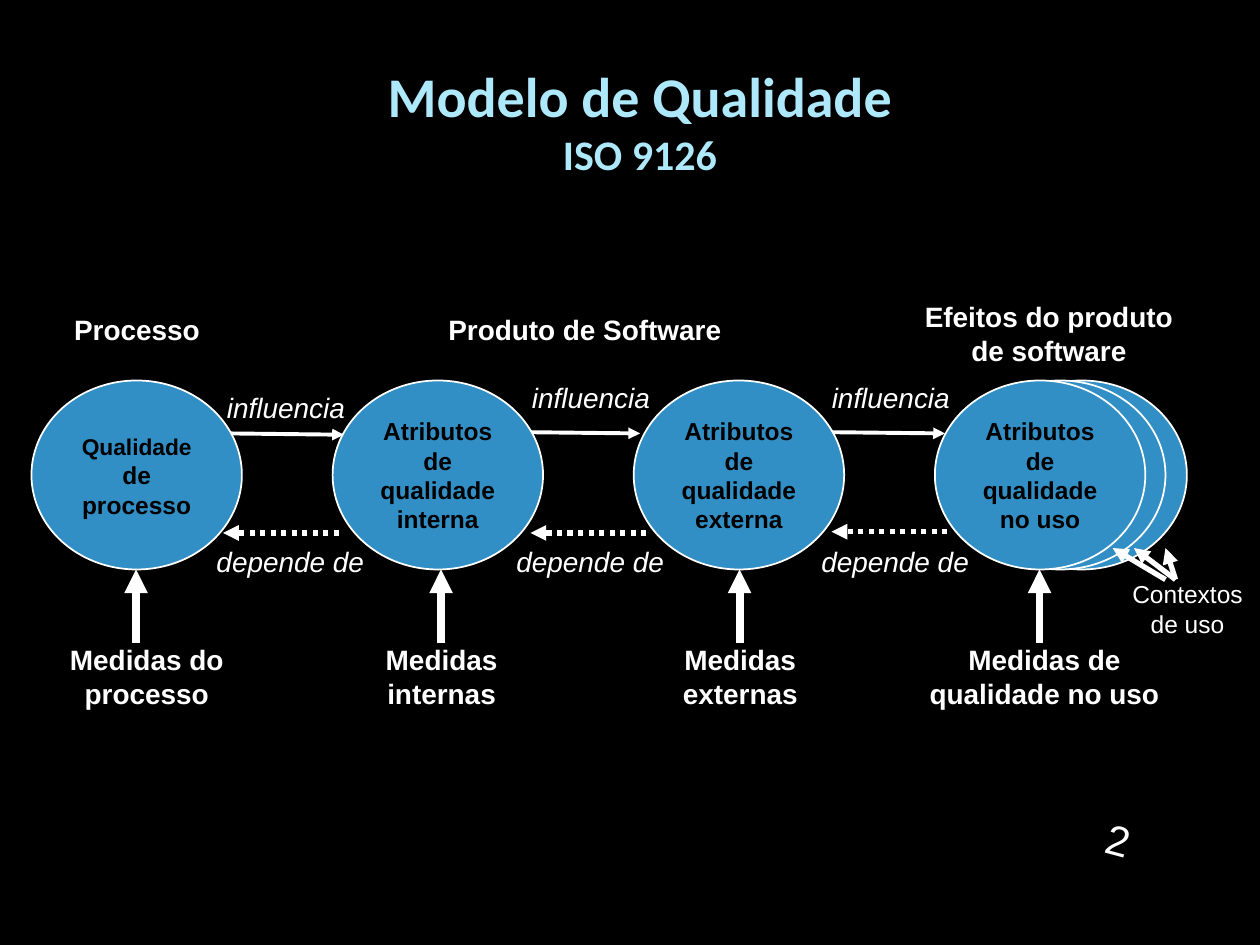
import pptx
import pptx.dml.color
import pptx.enum.dml
import pptx.enum.shapes
import pptx.enum.text
import pptx.oxml
import pptx.oxml.ns
import pptx.util

Inches, Pt = pptx.util.Inches, pptx.util.Pt
CENTER = pptx.enum.text.PP_ALIGN.CENTER
LEFT = pptx.enum.text.PP_ALIGN.LEFT
WHITE, BLACK, BLUE, PALE_BLUE = "FFFFFF", "000000", "318FC5", "AEE8FB"

# Ellipses: one every ELLIPSE_STEP inches
ELLIPSE_LEFT, ELLIPSE_TOP, ELLIPSE_STEP = 0.25, 3.02, 2.39
ELLIPSE_WIDTH, ELLIPSE_HEIGHT = 1.67, 1.5
QUALITIES = [
    [("Qualidade", 13), (" de processo", 14)],
    [("Atributos de qualidade interna", 14)],
    [("Atributos de qualidade externa", 14)],
    [("Atributos de qualidade no uso", 14)],
]
CONTEXT_OFFSETS = [0.33, 0.16]  # ellipses stacked behind the last one

# Arrow start and end, label left and top
INFLUENCES = [
    ((1.81, 3.44), (2.73, 3.45), 1.7, 3.05),
    ((4.17, 3.43), (5.08, 3.44), 4.12, 2.97),
    ((6.58, 3.43), (7.5, 3.44), 6.5, 2.97),
]
# Arrow left and height on the slide, label left
DEPENDENCIES = [(1.77, 4.23, 1.62), (4.21, 4.23, 4), (6.6, 4.22, 6.42)]
DEPENDENCY_LENGTH = 0.92
# Text, left, width, arrow position
MEASURES = [
    ("Medidas do processo", 0.33, 1.67, 1.08),
    ("Medidas internas", 2.67, 1.67, 3.5),
    ("Medidas\nexternas", 5.04, 1.67, 5.87),
    ("Medidas de qualidade no uso", 7.21, 2.16, 8.25),
]
# Text, box, wraps, alignment
HEADINGS = [
    ("Processo", (0.49, 2.43, 1.2, 0.37), False, LEFT),
    ("Produto de Software", (3.46, 2.43, 2.38, 0.37), False, LEFT),
    ("Efeitos do produto de software", (7.21, 2.33, 2.23, 0.64), True, CENTER),
]
CONTEXT_ARROWS = [
    ((9.33, 4.6), (9.25, 4.35)),
    ((9.33, 4.6), (9, 4.35)),
    ((9.25, 4.6), (8.83, 4.35)),
]


def rgb(value):
    return pptx.dml.color.RGBColor.from_string(value)


def style_font(font, size, color=WHITE, bold=False, italic=False, name="Arial"):
    font.name, font.size = name, Pt(size)
    font.bold, font.italic = bold, italic
    font.color.rgb = rgb(color)


def add_text(slide, text, box, size=16, wrap=True, align=CENTER, grow=True, **font):
    shape = slide.shapes.add_textbox(*map(Inches, box))
    frame = shape.text_frame
    frame.text = text
    frame.word_wrap = wrap
    if grow:
        frame.auto_size = pptx.enum.text.MSO_AUTO_SIZE.SHAPE_TO_FIT_TEXT
    else:
        frame.vertical_anchor = pptx.enum.text.MSO_ANCHOR.MIDDLE
    for paragraph in frame.paragraphs:
        paragraph.alignment = align
        style_font(paragraph.font, size, **font)
    return shape


def add_arrow(slide, start, end, width, dotted=False):
    connector = slide.shapes.add_connector(
        pptx.enum.shapes.MSO_CONNECTOR.STRAIGHT, *map(Inches, start + end))
    connector.line.color.rgb = rgb(WHITE)
    connector.line.width = Pt(width)
    if dotted:
        connector.line.dash_style = pptx.enum.dml.MSO_LINE.ROUND_DOT
    line = connector.line._get_or_add_ln()
    namespace = pptx.oxml.ns.nsdecls("a")
    line.append(pptx.oxml.parse_xml(f'<a:tailEnd {namespace} type="triangle"/>'))
    line.addnext(pptx.oxml.parse_xml(f"<a:effectLst {namespace}/>"))


def add_ellipse(slide, left, runs=()):
    shape = slide.shapes.add_shape(
        pptx.enum.shapes.MSO_SHAPE.OVAL,
        *map(Inches, (left, ELLIPSE_TOP, ELLIPSE_WIDTH, ELLIPSE_HEIGHT)))
    shape.shadow.inherit = False
    shape.fill.solid()
    shape.fill.fore_color.rgb = rgb(BLUE)
    shape.line.color.rgb = rgb(WHITE)
    shape.line.width = Pt(1)
    shape.text_frame.word_wrap = True
    paragraph = shape.text_frame.paragraphs[0]
    paragraph.alignment = CENTER
    for text, size in runs:
        run = paragraph.add_run()
        run.text = text
        style_font(run.font, size, BLACK, bold=True)


def add_title(slide):
    title = add_text(slide, "Modelo de Qualidade\vISO 9126", (0.58, 0.33, 9, 1.25),
                     size=32, grow=False, color=PALE_BLUE, bold=True, name="Calibri")
    title.text_frame.paragraphs[0].runs[1].font.size = Pt(24)


def main():
    presentation = pptx.Presentation()
    presentation.slide_width, presentation.slide_height = Inches(10), Inches(7.5)
    slide = presentation.slides.add_slide(presentation.slide_layouts[6])
    slide.background.fill.solid()
    slide.background.fill.fore_color.rgb = rgb(BLACK)

    add_title(slide)
    for start, end, left, top in INFLUENCES:
        add_arrow(slide, start, end, 2.25)
        add_text(slide, "influencia", (left, top, 1.14, 0.37), wrap=False, italic=True)

    lefts = [ELLIPSE_LEFT + ELLIPSE_STEP * index for index in range(len(QUALITIES))]
    for offset in CONTEXT_OFFSETS:
        add_ellipse(slide, lefts[-1] + offset)
    for left, runs in zip(lefts, QUALITIES):
        add_ellipse(slide, left, runs)

    for left, top, label_left in DEPENDENCIES:
        add_arrow(slide, (left + DEPENDENCY_LENGTH, top), (left, top), 3, dotted=True)
        add_text(slide, "depende de", (label_left, 4.27, 1.37, 0.37),
                 wrap=False, align=LEFT, italic=True)

    for text, left, width, arrow in MEASURES:
        add_text(slide, text, (left, 5.05, width, 0.64), bold=True)
        add_arrow(slide, (arrow, 5.1), (arrow, ELLIPSE_TOP + ELLIPSE_HEIGHT), 4.5)

    for text, box, wrap, align in HEADINGS:
        add_text(slide, text, box, wrap=wrap, align=align, bold=True)

    add_text(slide, "Contextos de uso", (8.85, 4.55, 1.15, 0.57), size=14)
    for start, end in CONTEXT_ARROWS:
        add_arrow(slide, start, end, 3)

    number = add_text(slide, "2", (8.68, 6.51, 0.78, 0.4), size=24, align=LEFT, grow=False)
    number.rotation = 15
    presentation.save("out.pptx")


if __name__ == "__main__":
    main()
